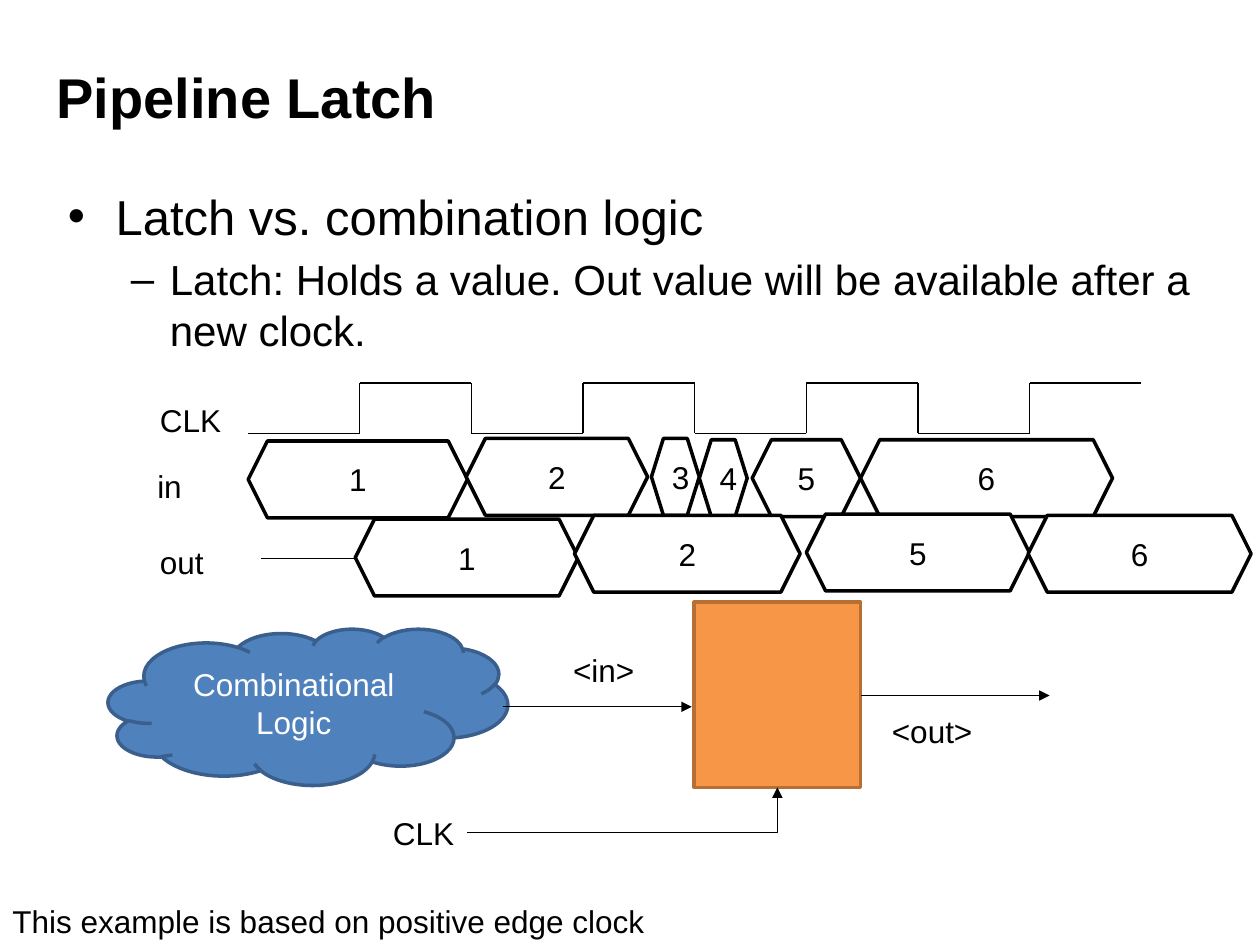
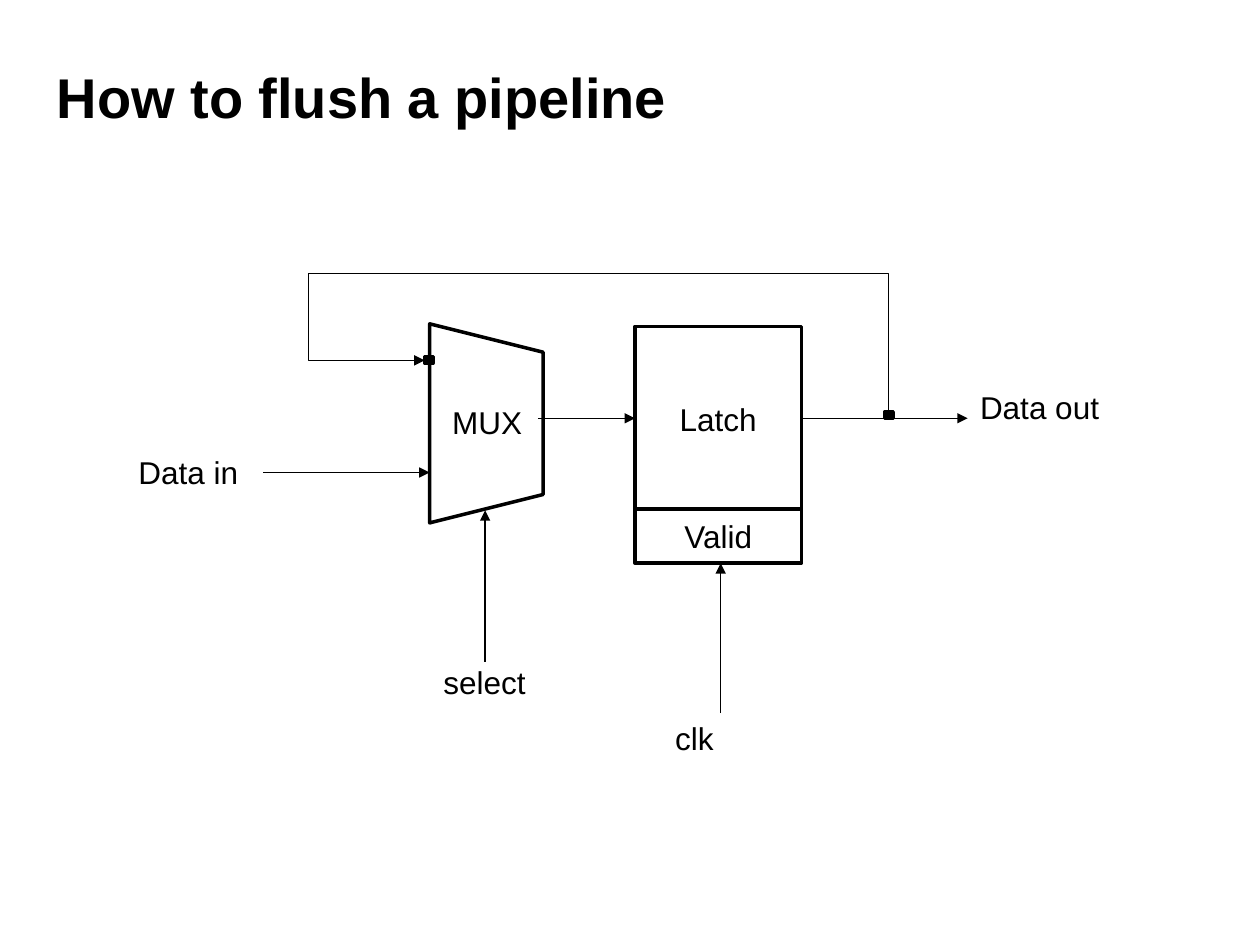
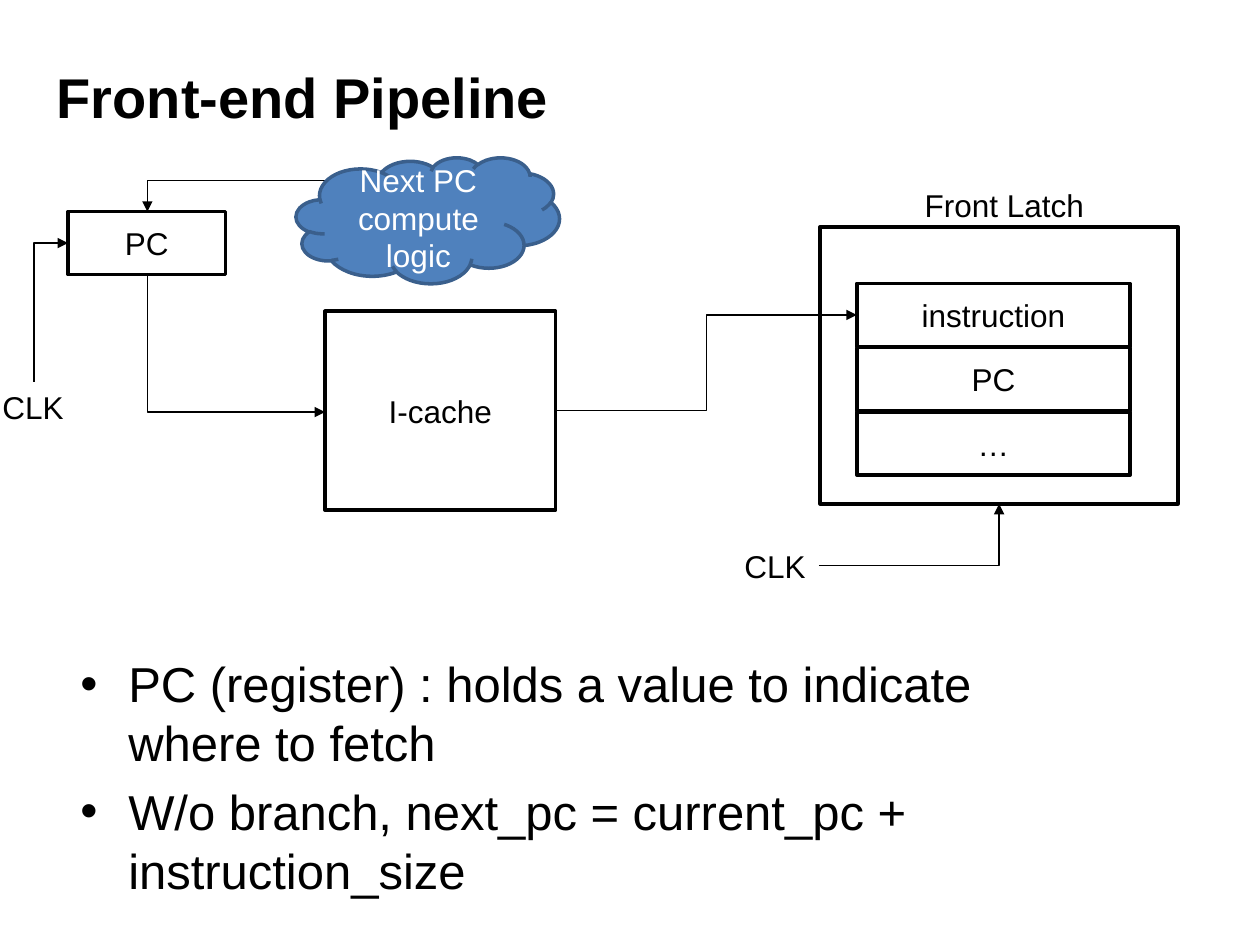
from lxml import etree
from pptx import Presentation
from pptx import util as u
from pptx.dml.color import RGBColor
from pptx.enum import shapes, text
from pptx.oxml.ns import qn

COLORS = {"ink": "000000", "paper": "FFFFFF", "cloud": "4F81BD",
          "cloud edge": "3A5F8C", "latch": "F79646", "latch edge": "B76F34"}
FONT = "Arial"
SLIDE_W, SLIDE_H = 10, 7.5
TITLE_BOX = (0.35, 0.35, 9, 0.83)
LABEL_H = 0.4
BULLETS = [  # mark, size, left margin, hanging indent
    ("•", 28, 0.38, 0.38),
    ("–", 24, 0.81, 0.31),
]
S = shapes.MSO_SHAPE

# Content: labels are (text, left, top, width); arrows are (from, to);
# elbows are (from, to, first direction, preset, adjustments)
LATCH = {
    "title": "Pipeline Latch",
    "bullets": [(0, "Latch vs. combination logic"),
                (1, "Latch: Holds a value. Out value will be available after a new clock.")],
    "labels": [("CLK", 3.02, 6.41, 0.69), ("<in>", 4.45, 5.12, 0.69),
               ("<out>", 6.98, 5.6, 0.85), ("CLK", 1.17, 3.13, 0.69),
               ("in", 1.15, 3.66, 0.4), ("out", 1.17, 4.26, 0.55),
               ("This example is based on positive edge clock", 0, 7.11, 5.33)],
    "arrows": [((3.99, 5.61), (5.49, 5.61)), ((6.83, 5.52), (8.33, 5.52))],
    "elbows": [((3.71, 6.61), (6.17, 6.25), "across", "bentConnector2", ())],
}
CLOCK = {"left": 1.97, "half": 0.886, "count": 8, "low": 3.44, "high": 3.04}
VALUE_H = 0.61
VALUES = [  # value, left, top, width
    ("1", 1.97, 3.5, 1.74), ("2", 3.7, 3.48, 1.44), ("3", 5.17, 3.48, 0.38),
    ("4", 5.55, 3.49, 0.38), ("5", 5.97, 3.49, 0.86), ("6", 6.83, 3.49, 2),
    ("1", 2.82, 4.12, 1.77), ("2", 4.56, 4.09, 1.79),
    ("5", 6.4, 4.08, 1.77), ("6", 8.16, 4.09, 1.77),
]

FLUSH = {
    "title": "How to flush a pipeline",
    "labels": [("MUX", 3.49, 3.15, 0.76), ("Data in", 1, 3.55, 1),
               ("Data out", 7.68, 3.03, 1.16), ("select", 3.42, 5.21, 0.86),
               ("clk", 5.26, 5.66, 0.51)],
    "arrows": [((2.09, 3.75), (3.41, 3.75)), ((6.36, 3.32), (7.68, 3.32)),
               ((3.85, 5.25), (3.85, 4.05)), ((5.72, 5.66), (5.72, 4.47)),
               ((4.27, 3.32), (5.04, 3.32))],
    "elbows": [((7.05, 3.27), (3.37, 2.86), "down", "bentConnector4", (2.68, 1.25))],
}
JUNCTIONS = [(7.02, 3.27), (3.37, 2.83)]

FRONT_END = {
    "title": "Front-end Pipeline",
    "bullets": [(0, "PC (register) : holds a value to indicate where to fetch"),
                (0, "W/o branch, next_pc = current_pc + instruction_size")],
    "labels": [("Front Latch", 7.24, 1.43, 1.48), ("CLK", 5.81, 4.29, 0.69),
               ("CLK", -0.08, 3.03, 0.69)],
    "arrows": [],
    "elbows": [((6.5, 4.49), (7.93, 4), "across", "bentConnector2", ()),
               ((1.17, 2.18), (2.58, 3.27), "down", "bentConnector2", ()),
               ((4.41, 3.26), (6.8, 2.5), "across", "bentConnector3", (0.5,)),
               ((0.27, 3.03), (0.54, 1.93), "down", "bentConnector2", ()),
               ((2.58, 1.43), (1.17, 1.68), "across", "bentConnector2", ())],
}
LATCH_FIELDS = ["instruction", "PC", "…"]
FIELD_TOP, FIELD_PITCH = 2.25, 0.51


def inches(values):
    return [u.Inches(v) for v in values]


def rgb(name):
    return RGBColor.from_string(COLORS[name])


def write(paragraph, words, size=18, color="ink", bold=False, align=text.PP_ALIGN.LEFT):
    paragraph.alignment = align
    run = paragraph.add_run()
    run.text = words
    run.font.name, run.font.size, run.font.bold = FONT, u.Pt(size), bold
    run.font.color.rgb = rgb(color)


def add_label(slide, words, left, top, width):
    box = slide.shapes.add_textbox(*inches((left, top, width, LABEL_H)))
    box.text_frame.word_wrap = False
    box.text_frame.auto_size = text.MSO_AUTO_SIZE.SHAPE_TO_FIT_TEXT
    write(box.text_frame.paragraphs[0], words)


def add_bullets(slide, items, box):
    frame = slide.shapes.add_textbox(*inches(box)).text_frame
    frame.word_wrap = True
    for i, (level, words) in enumerate(items):
        paragraph = frame.add_paragraph() if i else frame.paragraphs[0]
        mark, size, margin, hang = BULLETS[level]
        paragraph.level = level
        paragraph.space_before = u.Pt(size * 0.2)
        write(paragraph, words, size=size)
        props = paragraph._p.get_or_add_pPr()
        props.set("marL", str(u.Inches(margin)))
        props.set("indent", str(-u.Inches(hang)))
        etree.SubElement(props, qn("a:buFont"), typeface=FONT)
        etree.SubElement(props, qn("a:buChar"), char=mark)


def add_block(slide, kind, box, words="", fill="paper", edge="ink", color="ink"):
    block = slide.shapes.add_shape(kind, *inches(box))
    block.shadow.inherit = False
    if fill:
        block.fill.solid()
        block.fill.fore_color.rgb = rgb(fill)
    else:
        block.fill.background()
    block.line.color.rgb, block.line.width = rgb(edge), u.Pt(2)
    if words:
        block.text_frame.word_wrap = True
        block.text_frame.vertical_anchor = text.MSO_ANCHOR.MIDDLE
        write(block.text_frame.paragraphs[0], words, color=color, align=text.PP_ALIGN.CENTER)
    return block


def add_cloud(slide, box, words):
    add_block(slide, S.CLOUD, box, words, fill="cloud", edge="cloud edge", color="paper")


def add_line(slide, start, end, arrow=False, kind=shapes.MSO_CONNECTOR.STRAIGHT):
    line = slide.shapes.add_connector(kind, *inches((*start, *end)))
    line.line.color.rgb, line.line.width = rgb("ink"), u.Pt(0.75)
    if arrow:
        etree.SubElement(line.line._get_or_add_ln(), qn("a:tailEnd"), type="triangle")
    etree.SubElement(line._element.spPr, qn("a:effectLst"))
    return line


def add_elbow(slide, start, end, first, preset, adjustments):
    (x1, y1), (x2, y2) = start, end
    if first == "down":  # lay the path on its side, then turn it a quarter
        cx, cy, dx, dy = (x1 + x2) / 2, (y1 + y2) / 2, x2 - x1, y2 - y1
        start, end = (cx - dy / 2, cy + dx / 2), (cx + dy / 2, cy - dx / 2)
    elbow = add_line(slide, start, end, arrow=True, kind=shapes.MSO_CONNECTOR.ELBOW)
    props = elbow._element.spPr
    if first == "down":
        props.find(qn("a:xfrm")).set("rot", str(90 * 60000))
    geometry = props.find(qn("a:prstGeom"))
    geometry.set("prst", preset)
    guides = geometry.find(qn("a:avLst"))
    for i, share in enumerate(adjustments, 1):
        etree.SubElement(guides, qn("a:gd"), name=f"adj{i}", fmla=f"val {round(share * 100000)}")


def add_clock(slide):
    for i in range(CLOCK["count"]):
        x, next_x = (CLOCK["left"] + CLOCK["half"] * n for n in (i, i + 1))
        level, other = CLOCK["low"], CLOCK["high"]
        if i % 2:
            level, other = other, level
        add_line(slide, (x, level), (next_x, level))
        if i < CLOCK["count"] - 1:
            add_line(slide, (next_x, level), (next_x, other))


def start_slide(deck, content):
    slide = deck.slides.add_slide(deck.slide_layouts[5])
    title = slide.shapes.title
    title.left, title.top, title.width, title.height = inches(TITLE_BOX)
    title.text_frame.vertical_anchor = text.MSO_ANCHOR.MIDDLE
    title.text_frame.auto_size = text.MSO_AUTO_SIZE.NONE
    write(title.text_frame.paragraphs[0], content["title"], size=32, bold=True)
    return slide


def add_wiring(slide, content):
    for start, end in content["arrows"]:
        add_line(slide, start, end, arrow=True)
    for elbow in content["elbows"]:
        add_elbow(slide, *elbow)
    for label in content["labels"]:
        add_label(slide, *label)


def build_latch(deck):
    slide = start_slide(deck, LATCH)
    add_bullets(slide, LATCH["bullets"], (0.44, 1.43, 9.13, 5.48))
    add_cloud(slide, (0.86, 4.99, 3.17, 1.24), "Combinational Logic")
    add_block(slide, S.RECTANGLE, (5.51, 4.78, 1.32, 1.47), fill="latch", edge="latch edge")
    add_wiring(slide, LATCH)
    # Timing diagram
    add_clock(slide)
    for value, left, top, width in VALUES:
        add_block(slide, S.HEXAGON, (left, top, width, VALUE_H), value)
    add_line(slide, (2.07, 4.43), (2.82, 4.43))


def build_flush(deck):
    slide = start_slide(deck, FLUSH)
    add_block(slide, S.RECTANGLE, (5.04, 2.59, 1.32, 1.47), "Latch")
    mux = add_block(slide, S.TRAPEZOID, (3.07, 2.91, 1.58, 0.9), fill=None)
    mux.rotation = 90
    for left, top in JUNCTIONS:
        add_block(slide, S.RECTANGLE, (left, top, 0.07, 0.05), fill="ink")
    add_wiring(slide, FLUSH)
    add_block(slide, S.RECTANGLE, (5.04, 4.04, 1.32, 0.43), "Valid")


def build_front_end(deck):
    slide = start_slide(deck, FRONT_END)
    add_bullets(slide, FRONT_END["bullets"], (0.54, 5.14, 8.4, 0.83))
    add_block(slide, S.RECTANGLE, (2.58, 2.47, 1.83, 1.58), "I-cache")
    add_block(slide, S.RECTANGLE, (0.54, 1.68, 1.25, 0.5), "PC")
    for i, field in enumerate(LATCH_FIELDS):
        add_block(slide, S.RECTANGLE, (6.8, FIELD_TOP + i * FIELD_PITCH, 2.17, 0.5), field)
    add_block(slide, S.RECTANGLE, (6.51, 1.8, 2.84, 2.2), fill=None)
    add_wiring(slide, FRONT_END)
    add_cloud(slide, (2.35, 1.25, 2.09, 1), "Next PC compute logic")


def main():
    deck = Presentation()
    deck.slide_width, deck.slide_height = inches((SLIDE_W, SLIDE_H))
    build_latch(deck)
    build_flush(deck)
    build_front_end(deck)
    deck.save("out.pptx")


if __name__ == "__main__":
    main()
